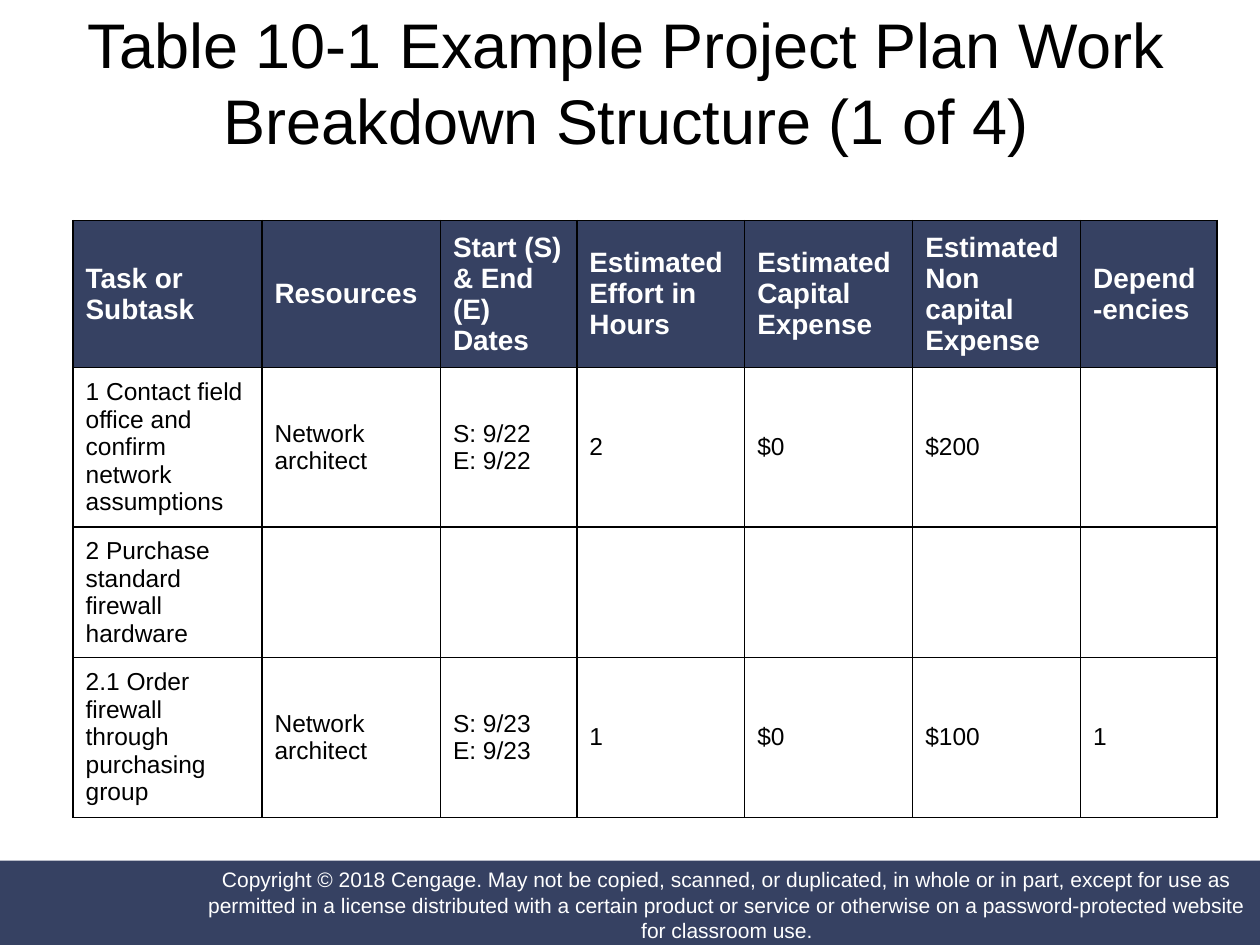
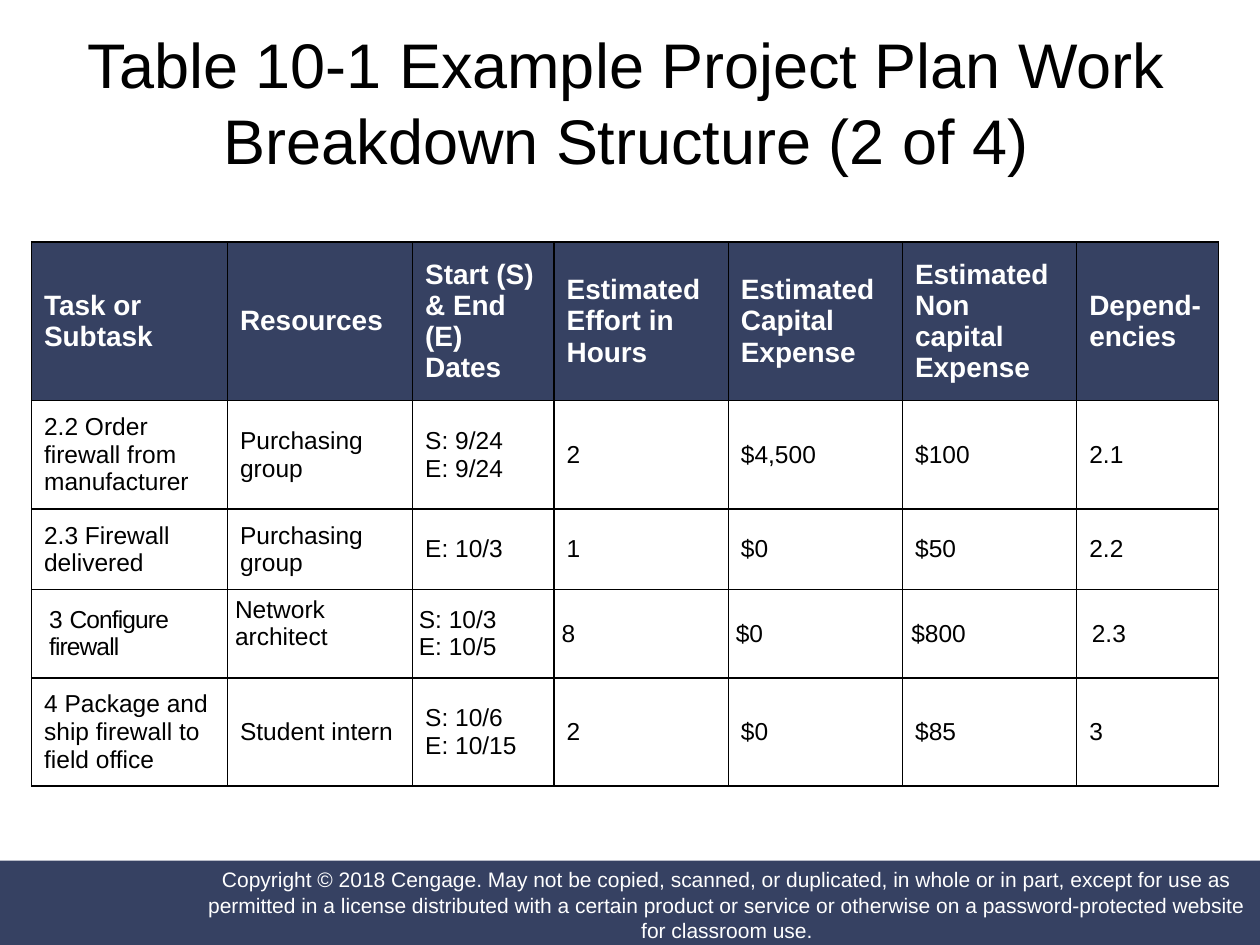
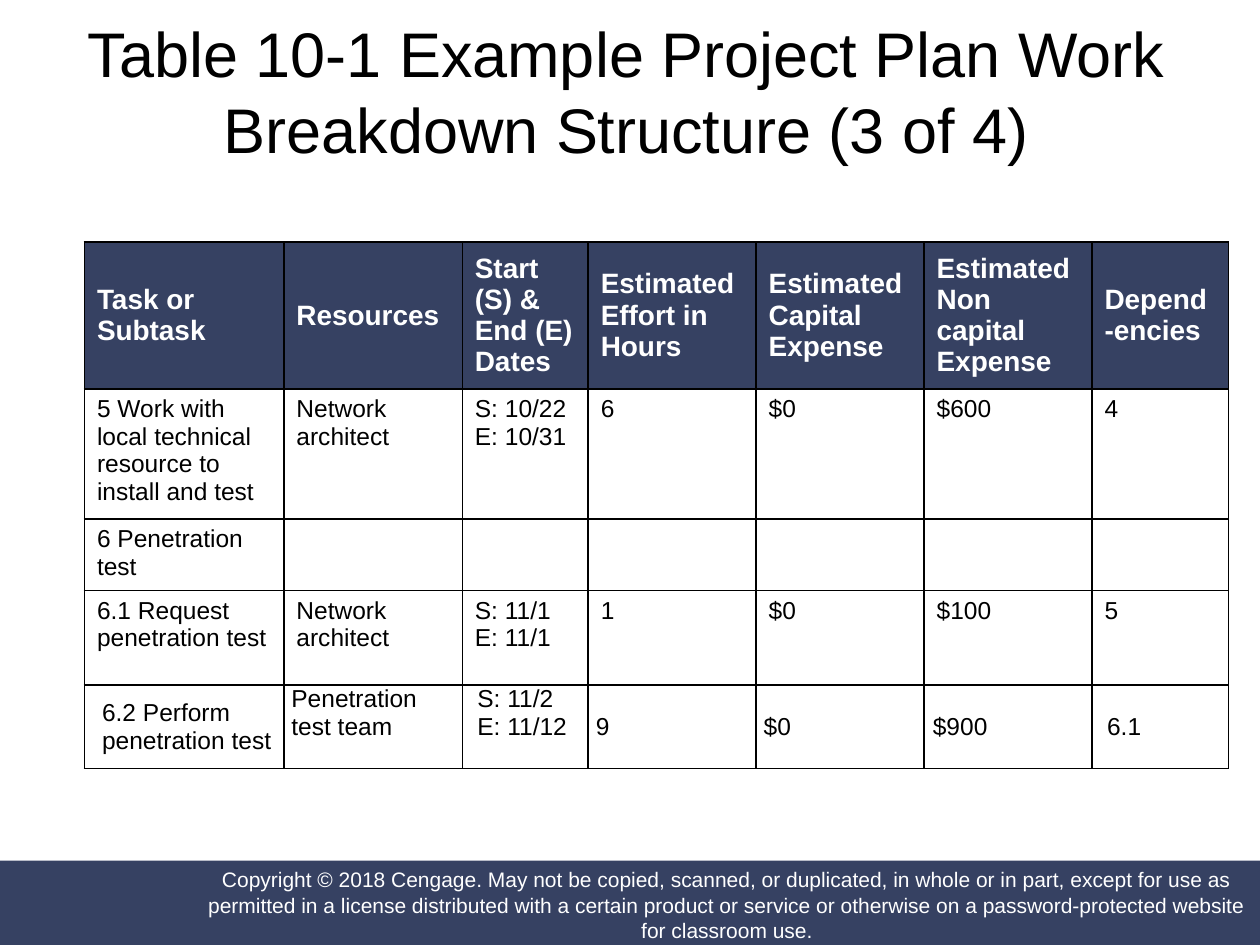
"""Builds three slides of a work breakdown table with a shared title and footer."""
from lxml.etree import SubElement as Sub
from pptx import Presentation
from pptx.dml.color import RGBColor as Rgb
from pptx.enum.shapes import MSO_SHAPE as Shape
from pptx.enum.text import MSO_ANCHOR as Anchor, PP_ALIGN as Align
from pptx.oxml.ns import qn
from pptx.util import Inches, Pt

HUES = {"navy": "364162", "white": "FFFFFF", "black": "000000"}
FONT = "Arial"
UNIT = Inches(0.1)
WIDE, HIGH = 100, 75
TITLE = "Table 10-1 Example Project Plan Work Breakdown Structure ({} of 4)"
NOTE = (
    "Copyright © 2018 Cengage. May not be copied, scanned, or duplicated, in whole "
    "or in part, except for use as permitted in a license distributed with a certain "
    "product or service or otherwise on a password-protected website for classroom use."
)
HEAD = [
    "Task or Subtask", "Resources", "Start (S) & End (E) Dates",
    "Estimated Effort in Hours", "Estimated Capital Expense",
    "Estimated Non capital Expense", "Depend-encies",
]
PADS = [0.14, 0.06, 0.05, 0.06, 0.06, 0.07, 0.12]

PLANS = [
    {
        "title": 0.4, "at": (5.8, 17.5), "width": 90.8,
        "cols": [18, 17, 13, 16, 16, 16, 13],
        "rows": [10.9, 11.9, 9.8, 11.9],
        "data": [
            ["1 Contact field office and confirm network assumptions",
             "Network architect", "S: 9/22\nE: 9/22", "2", "$0", "$200", ""],
            ["2 Purchase standard\nfirewall hardware", "", "", "", "", "", ""],
            ["2.1 Order firewall through purchasing group",
             "Network architect", "S: 9/23\nE: 9/23", "1", "$0", "$100", "1"],
        ],
    },
    {
        "title": 2, "at": (2.5, 19.2), "width": 94.2,
        "cols": [18, 17, 13, 16, 16, 16, 13],
        "rows": [12.6, 8.6, 6.4, 7, 8.6],
        "data": [
            ["2.2 Order firewall from manufacturer", "Purchasing\ngroup",
             "S: 9/24\nE: 9/24", "2", "$4,500", "$100", "2.1"],
            ["2.3 Firewall delivered", "Purchasing\ngroup",
             "E: 10/3", "1", "$0", "$50", "2.2"],
            ["3 ", "Network architect", "S: 10/3\nE: 10/5", "8", "$0", "$800", "2.3"],
            ["4 Package and ship firewall to field office", "Student intern",
             "S: 10/6\nE: 10/15", "2", "$0", "$85", "3"],
        ],
        "slim": 3, "pads": PADS, "tops": {1: 0.05}, "tight": "Configure firewall",
    },
    {
        "title": 1.1, "at": (6.7, 19.2), "width": 90.8,
        "cols": [19, 17, 12, 16, 16, 16, 13],
        "rows": [10.9, 9.8, 5.4, 7.5, 6.6],
        "anchor": Anchor.TOP,
        "data": [
            ["5 Work with local technical resource to install and test",
             "Network architect", "S: 10/22\nE: 10/31", "6", "$0", "$600", "4"],
            ["6 Penetration test", "", "", "", "", "", ""],
            ["6.1 Request penetration test", "Network architect",
             "S: 11/1\nE: 11/1", "1", "$0", "$100", "5"],
            ["6.2 Perform penetration test", "Penetration test team",
             "S: 11/2\nE: 11/12", "9", "$0", "$900", "6.1"],
        ],
        "slim": 4, "pads": PADS[:2] + [0.12] + PADS[3:], "tops": {1: 0, 2: 0},
    },
]


def grid(*nums):
    """Turns grid units into lengths."""
    return [round(num * UNIT) for num in nums]


def hue(name):
    """Gives a colour by name."""
    return Rgb.from_string(HUES[name])


def put(frame, text, size=14, color="black", bold=False, align=Align.LEFT, tight=""):
    """Writes one paragraph per line, with an optional closely spaced tail."""
    frame.word_wrap = True
    for num, line in enumerate(text.split("\n")):
        para = frame.add_paragraph() if num else frame.paragraphs[0]
        para.alignment = align
        for part in filter(None, (line, tight)):
            run = para.add_run()
            run.text = part
            font = run.font
            font.name, font.size, font.bold = FONT, Pt(size), bold
            font.color.rgb = hue(color)
            if part == tight:
                run._r.get_or_add_rPr().set("spc", "-50")


def inset(box, left=0, top=0):
    """Sets the left and top margins and clears the others."""
    box.margin_left, box.margin_top = Inches(left), Inches(top)
    box.margin_right = box.margin_bottom = 0


def band(slide, *place):
    """Draws a plain navy bar."""
    bar = slide.shapes.add_shape(Shape.RECTANGLE, *grid(*place))
    bar.shadow.inherit = False
    bar.fill.solid()
    bar.fill.fore_color.rgb = hue("navy")
    bar.line.fill.background()
    return bar


def footer(slide):
    """Adds the bottom band and its copyright line."""
    band(slide, -0.1, 68.3, WIDE + 0.1, 6.8)
    frame = band(slide, 16.2, 68.6, 83, 6.4).text_frame
    inset(frame)
    frame.vertical_anchor = Anchor.MIDDLE
    put(frame, NOTE, size=12, color="white", align=Align.CENTER)


def title(slide, num, top):
    """Adds the slide title."""
    frame = slide.shapes.add_textbox(*grid(5.8, top, 87.8, 12.1)).text_frame
    frame.vertical_anchor = Anchor.MIDDLE
    put(frame, TITLE.format(num), size=36, align=Align.CENTER)


def edge(cell):
    """Rules all four sides of a cell."""
    props = cell._tc.get_or_add_tcPr()
    for num, side in enumerate(("lnL", "lnR", "lnT", "lnB")):
        line = Sub(props, qn(f"a:{side}"), w=str(Pt(1)))
        props.insert(num, line)
        Sub(Sub(line, qn("a:solidFill")), qn("a:srgbClr"), val=HUES["black"])


def table(slide, plan):
    """Adds the task table that a plan describes."""
    cols, rows = plan["cols"], plan["rows"]
    place = grid(*plan["at"], plan["width"], sum(rows))
    grip = slide.shapes.add_table(len(rows), len(cols), *place).table
    for col, part in zip(grip.columns, cols):
        col.width = grid(plan["width"] * part / sum(cols))[0]
    for row, tall in zip(grip.rows, rows):
        row.height = grid(tall)[0]
    for r, texts in enumerate([HEAD] + plan["data"]):
        for c, text in enumerate(texts):
            cell = grip.cell(r, c)
            cell.vertical_anchor = plan.get("anchor", Anchor.MIDDLE) if r else Anchor.MIDDLE
            look = {} if r else {"size": 16, "color": "white", "bold": True}
            if r and r == plan.get("slim"):
                tops = plan["tops"]
                inset(cell, plan["pads"][c], tops.get(c, 0))
                cell.vertical_anchor = Anchor.TOP if c in tops else Anchor.MIDDLE
                look["tight"] = "" if c else plan.get("tight", "")
            if r:
                cell.fill.background()
            else:
                cell.fill.solid()
                cell.fill.fore_color.rgb = hue("navy")
            edge(cell)
            put(cell.text_frame, text, **look)


def main():
    """Builds and saves the deck."""
    deck = Presentation()
    deck.slide_width, deck.slide_height = grid(WIDE, HIGH)
    for num, plan in enumerate(PLANS, 1):
        slide = deck.slides.add_slide(deck.slide_layouts[6])
        footer(slide)
        title(slide, num, plan["title"])
        table(slide, plan)
    deck.save("out.pptx")


if __name__ == "__main__":
    main()
